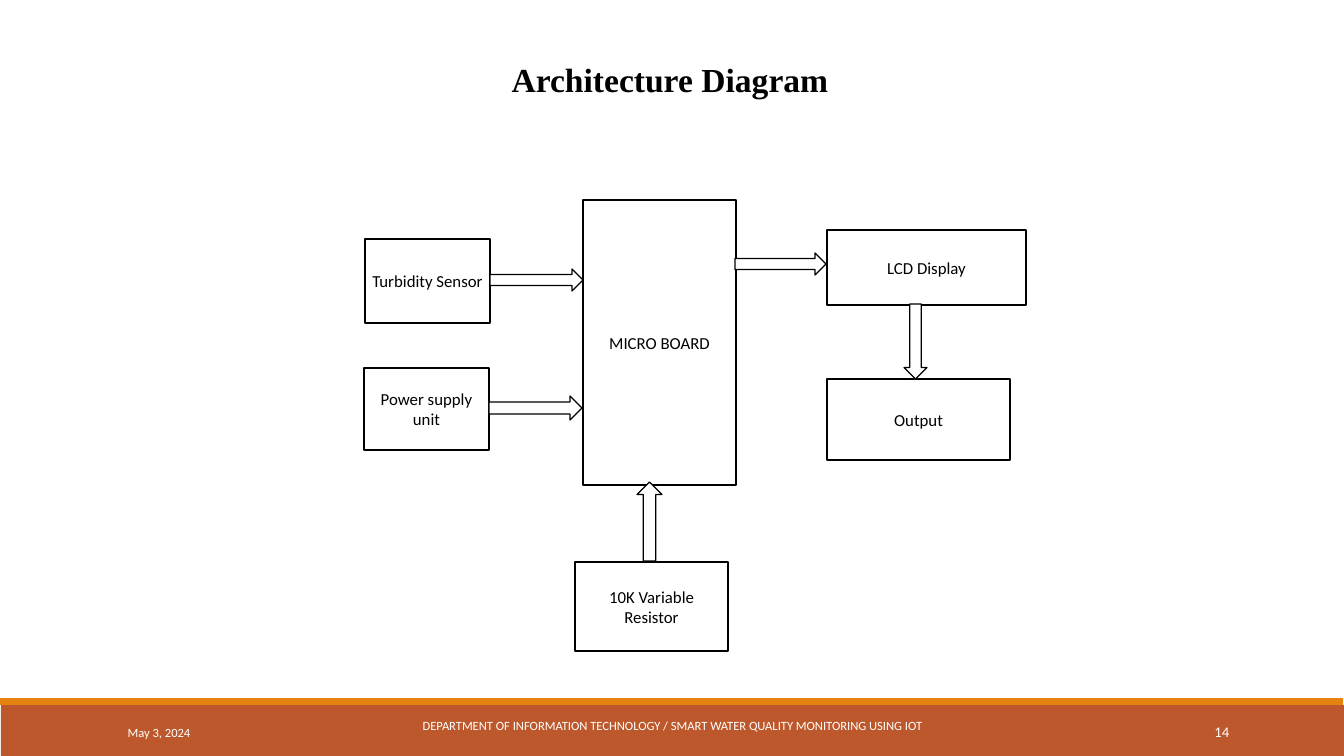
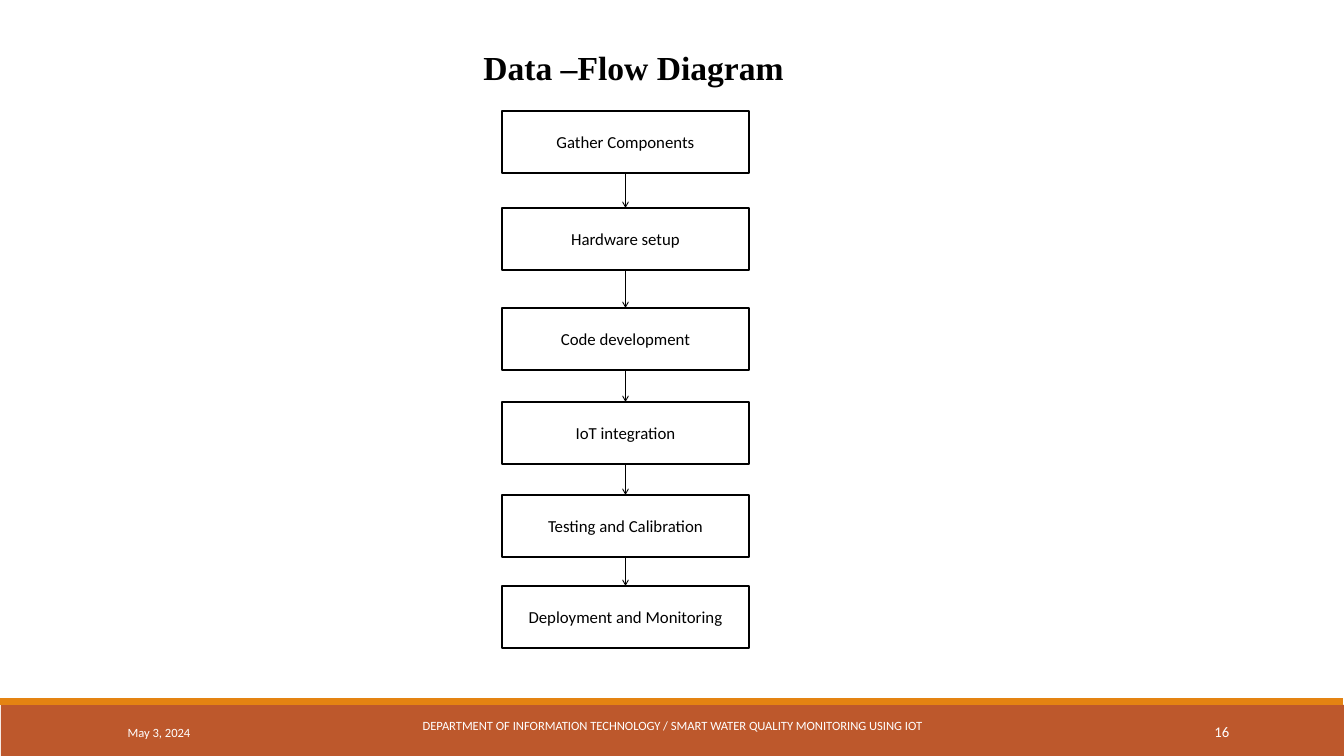
from lxml import etree
from pptx import Presentation
from pptx.dml.color import RGBColor
from pptx.enum.shapes import MSO_CONNECTOR, MSO_SHAPE as Preset
from pptx.enum.text import MSO_ANCHOR as Anchor, MSO_AUTO_SIZE, PP_ALIGN as Align
from pptx.oxml.ns import qn
from pptx.util import Pt

EMU_PER_PX = 914400 / 67.2
SLIDE_WIDTH, SLIDE_HEIGHT = 1344, 756

BLACK = RGBColor(0x00, 0x00, 0x00)
WHITE = RGBColor(0xFF, 0xFF, 0xFF)
RUST = RGBColor(0xBD, 0x58, 0x2C)
ORANGE = RGBColor(0xE4, 0x83, 0x12)

BODY_FONT = "Calibri"
TITLE_FONT = "Times New Roman"
DATE = "May 3, 2024"
FOOTER = "DEPARTMENT OF INFORMATION TECHNOLOGY / SMART WATER QUALITY MONITORING USING IOT"


def px(*lengths):
    return [round(length * EMU_PER_PX) for length in lengths]


def write(shape, text, size=18, font=BODY_FONT, color=BLACK, bold=False,
          align=Align.CENTER, anchor=Anchor.MIDDLE):
    frame = shape.text_frame
    frame.word_wrap = True
    frame.auto_size = MSO_AUTO_SIZE.NONE
    frame.vertical_anchor = anchor
    paragraph = frame.paragraphs[0]
    paragraph.alignment = align
    run = paragraph.add_run()
    run.text = text
    run.font.name = font
    run.font.size = Pt(size)
    run.font.bold = bold
    run.font.color.rgb = color


def add_preset(slide, preset, box, fill=WHITE, line=BLACK):
    shape = slide.shapes.add_shape(preset, *px(*box))
    shape.shadow.inherit = False
    if fill is None:
        shape.fill.background()
    else:
        shape.fill.solid()
        shape.fill.fore_color.rgb = fill
    if line is None:
        shape.line.fill.background()
    else:
        shape.line.color.rgb = line
        shape.line.width = Pt(1.25)
    return shape


def add_node(slide, text, box, fill=WHITE):
    node = add_preset(slide, Preset.RECTANGLE, box, fill)
    write(node, text)
    return node


def add_arrow(slide, start, end):
    """Join the bottom of one node to the top of the next."""
    arrow = slide.shapes.add_connector(MSO_CONNECTOR.STRAIGHT, 0, 0, 0, 0)
    arrow.begin_connect(start, 2)
    arrow.end_connect(end, 0)
    arrow.line.color.rgb = BLACK
    arrow.line.width = Pt(1)
    properties = arrow._element.spPr
    etree.SubElement(properties.find(qn("a:ln")), qn("a:tailEnd"), type="arrow")
    etree.SubElement(properties, qn("a:effectLst"))


def add_footer(slide, number, top):
    add_preset(slide, Preset.RECTANGLE, (1, top + 7, 1343, 51), RUST, None)
    add_preset(slide, Preset.RECTANGLE, (0, top, 1343, 7), ORANGE, None)
    for text, left, offset, width, size, align in (
        (DATE, 121, 14, 273, 13.5, Align.LEFT),
        (FOOTER, 407, 7, 531, 13.5, Align.CENTER),
        (str(number), 1091, 14, 145, 15.8, Align.RIGHT),
    ):
        textbox = slide.shapes.add_textbox(*px(left, top + offset, width, 40))
        write(textbox, text, size=size, color=WHITE, align=align)


def add_titled_slide(presentation, title, title_box, number):
    slide = presentation.slides.add_slide(presentation.slide_layouts[5])
    heading = slide.shapes.title
    heading.left, heading.top, heading.width, heading.height = px(*title_box)
    write(heading, title, size=36, font=TITLE_FONT, bold=True, anchor=Anchor.TOP)
    add_footer(slide, number, top=698)
    return slide


def add_architecture(slide, left, top):
    for text, x, y, width, height, fill in (
        ("MICRO BOARD", 219, 0, 153, 285, WHITE),
        ("Turbidity Sensor", 1, 39, 125, 84, WHITE),
        ("LCD Display", 463, 30, 199, 75, None),
        ("Power supply unit", 0, 168, 125, 82, WHITE),
        ("Output", 463, 179, 183, 81, WHITE),
        ("10K Variable Resistor", 211, 362, 153, 89, WHITE),
    ):
        add_node(slide, text, (left + x, top + y, width, height), fill)
    for preset, x, y, width, height in (
        (Preset.RIGHT_ARROW, 126, 69, 93, 22),
        (Preset.RIGHT_ARROW, 125, 196, 93, 24),
        (Preset.RIGHT_ARROW, 371, 53, 91, 22),
        (Preset.DOWN_ARROW, 540, 104, 23, 75),
        (Preset.UP_ARROW, 273, 282, 25, 79),
    ):
        add_preset(slide, preset, (left + x, top + y, width, height))


def add_data_flow(slide, left, top, width=247, step_height=62):
    steps = (
        ("Gather Components", 0),
        ("Hardware setup", 97),
        ("Code development", 197),
        ("IoT integration", 291),
        ("Testing and Calibration", 384),
        ("Deployment and Monitoring", 475),
    )
    nodes = [add_node(slide, text, (left, top + y, width, step_height))
             for text, y in steps]
    for start, end in zip(nodes, nodes[1:]):
        add_arrow(slide, start, end)


def main():
    presentation = Presentation()
    presentation.slide_width, presentation.slide_height = px(SLIDE_WIDTH, SLIDE_HEIGHT)

    architecture = add_titled_slide(
        presentation, "Architecture Diagram", (37, 56, 1266, 48), 14)
    add_architecture(architecture, 364, 200)

    data_flow = add_titled_slide(
        presentation, "Data –Flow Diagram", (57, 44, 1153, 48), 16)
    add_data_flow(data_flow, 502, 111)

    presentation.save("out.pptx")


if __name__ == "__main__":
    main()
